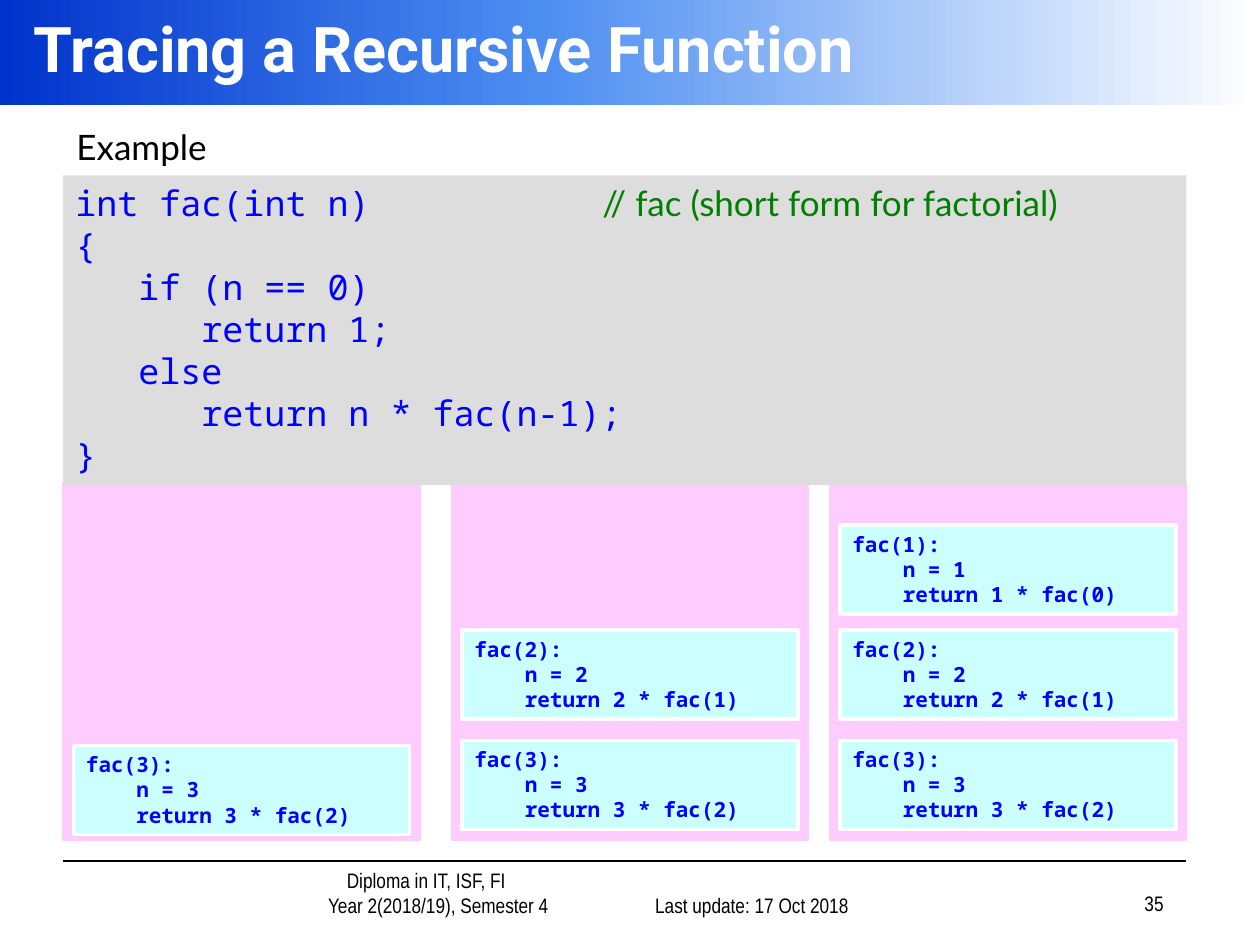
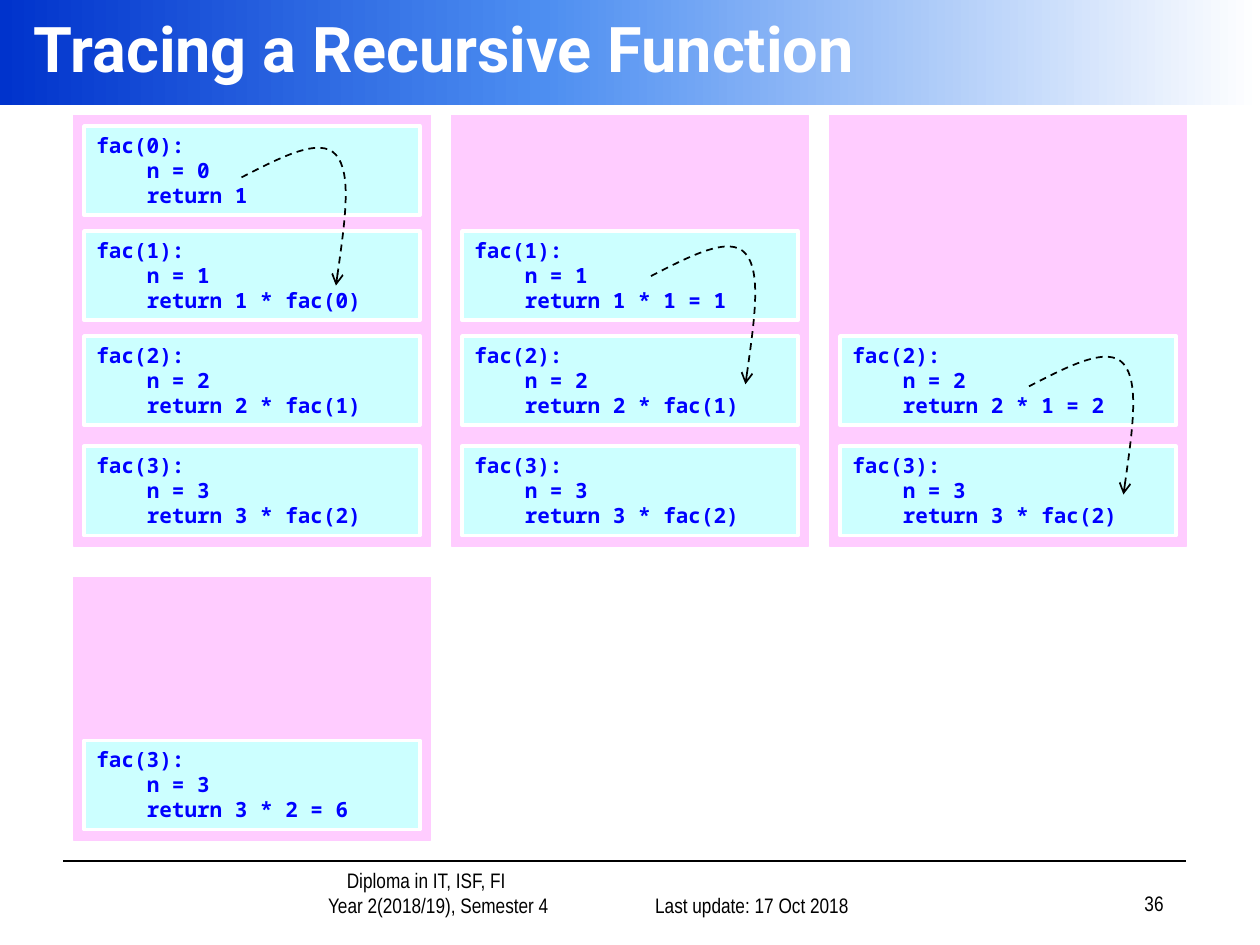
from dataclasses import dataclass

from lxml import etree
from copy import deepcopy
from pptx import Presentation
from pptx import util as u
from pptx.dml.color import RGBColor
from pptx.enum import dml, shapes, text
from pptx.oxml.ns import qn


@dataclass(frozen=True)
class Theme:
    black: str = "000000"
    white: str = "FFFFFF"
    panel: str = "FFCCFF"
    frame: str = "CCFFFF"
    code_back: str = "DDDDDD"
    code: str = "0000FF"
    comment: str = "008000"
    band: tuple = ((0, "0033CC"), (0.43, "4D8EF1"), (1, "FFFFFF"))
    title_font: str = "Roboto"
    body_font: str = "Lato"
    code_font: str = "Noto Sans Mono"
    footer_font: str = "Arial Narrow"
    title_size: int = 36
    body_size: int = 20
    small_size: int = 12


theme = Theme()
deck = Presentation()
deck.slide_width, deck.slide_height = u.Inches(10), u.Inches(7.5)

# Grid of 120 columns by 90 rows; every length below counts its cells
CELL = deck.slide_width // 120
PANEL_WIDTH = 34
FRAME_WIDTH, FRAME_HEIGHT = 32, 8.5
FRAME_LIFTS = {3: 9.5, 2: 20, 1: 30, 0: 40}  # frame top above panel bottom
ARROW_CURVE = [(3.7, -1.9), (7.5, -3.9), (9, -2.15),
               (10.55, -0.4), (9.75, 4.95), (9, 10.3)]


def add_box(page, left, top, width, height, fill=None, line=None, weight=1):
    """Add a rectangle, or a text box when no fill is given."""
    area = [round(n * CELL) for n in (left, top, width, height)]
    if fill is None:
        return page.shapes.add_textbox(*area)
    box = page.shapes.add_shape(shapes.MSO_SHAPE.RECTANGLE, *area)
    box.shadow.inherit = False
    box.fill.solid()
    box.fill.fore_color.rgb = RGBColor.from_string(fill)
    if line:
        box.line.color.rgb = RGBColor.from_string(line)
        box.line.width = u.Pt(weight)
    else:
        box.line.fill.background()
    return box


def write(box, lines, font, size, color, bold=False,
          align=text.PP_ALIGN.LEFT, anchor=text.MSO_ANCHOR.TOP):
    """Write (indent in cells, wording) pairs, one paragraph each."""
    frame = box.text_frame
    frame.word_wrap = True
    frame.vertical_anchor = anchor
    for index, (indent, wording) in enumerate(lines):
        para = frame.add_paragraph() if index else frame.paragraphs[0]
        para.add_run().text = wording
        para.alignment = align
        para.font.name, para.font.size, para.font.bold = font, u.Pt(size), bold
        para.font.color.rgb = RGBColor.from_string(color)
        if indent:
            para._p.get_or_add_pPr().set("marL", str(round(indent * CELL)))


# Each panel: left, top, bottom, innermost call, its result, drop, arrow start
pages = [
    (35, [
        (79, 46, 80, 1, "1 * fac(0)", 0, None),
        (43, 46, 80, 2, "2 * fac(1)", 0, None),
        (6, 46, 80, 3, "3 * fac(2)", 0.5, None),
    ]),
    (36, [
        (7, 55, 80, 3, "3 * 2 = 6", 0, None),
        (79, 11, 52, 2, "2 * 1 = 2", 0, (98, 36.8)),
        (43, 11, 52, 1, "1 * 1 = 1", 0, (62, 26.3)),
        (7, 11, 52, 0, "1", 0, (23, 16.9)),
    ]),
]

for number, panels in pages:
    page = deck.slides.add_slide(deck.slide_layouts[6])

    # Title band
    band = add_box(page, 0, 0, 120, 10, theme.white)
    band.fill.gradient()
    band.fill.gradient_angle = 0
    stop_list = band.element.spPr.find(qn("a:gradFill")).find(qn("a:gsLst"))
    stop_list.insert(1, deepcopy(stop_list[0]))
    for stop, (position, color) in zip(band.fill.gradient_stops, theme.band):
        stop.position = position
        stop.color.rgb = RGBColor.from_string(color)
    write(add_box(page, 2, 0, 118, 9), [(0, "Tracing a Recursive Function")],
          theme.title_font, theme.title_size, theme.white, True,
          anchor=text.MSO_ANCHOR.MIDDLE)

    # Footer
    rule = page.shapes.add_connector(shapes.MSO_CONNECTOR.STRAIGHT,
                                     6 * CELL, 82 * CELL, 113 * CELL, 82 * CELL)
    rule.line.color.rgb = RGBColor.from_string(theme.black)
    rule.line.width = u.Pt(1)
    etree.SubElement(rule.element.spPr, qn("a:effectLst"))
    course = [(6, "Diploma in IT, ISF, FI"), (8.3, "Year 2(2018/19), Semester 4")]
    for left, top, width, lines, align in [
        (20.2, 83, 34.8, course, text.PP_ALIGN.CENTER),
        (57, 83, 25, [(0, "Last update: 17 Oct 2018")], text.PP_ALIGN.RIGHT),
        (87, 82.8, 25, [(0, str(number))], text.PP_ALIGN.RIGHT),
    ]:
        write(add_box(page, left, top, width, 5), lines, theme.footer_font,
              theme.small_size, theme.black, align=align,
              anchor=text.MSO_ANCHOR.BOTTOM)

    # Call stacks
    for left, top, bottom, innermost, result, drop, arrow in panels:
        add_box(page, left, top, PANEL_WIDTH, bottom - top, theme.panel, theme.panel)
        for n in range(3, innermost - 1, -1):
            value = result if n == innermost else f"{n} * fac({n - 1})"
            frame = add_box(page, left + 1, bottom - FRAME_LIFTS[n] + drop,
                            FRAME_WIDTH, FRAME_HEIGHT, theme.frame, theme.white, 2)
            write(frame, [(0, f"fac({n}):"), (4.8, f"n = {n}"), (4.8, f"return {value}")],
                  theme.code_font, theme.small_size, theme.code, True)

        # Curved arrow handing the result to the caller
        if arrow:
            x, y = arrow
            builder = page.shapes.build_freeform(round(x * CELL), round(y * CELL))
            builder.add_line_segments(
                [(round((x + dx) * CELL), round((y + dy) * CELL)) for dx, dy in ARROW_CURVE],
                close=False)
            curve = builder.convert_to_shape()
            curve.shadow.inherit = False
            curve.fill.background()
            curve.line.color.rgb = RGBColor.from_string(theme.black)
            curve.line.width = u.Pt(1)
            curve.line.dash_style = dml.MSO_LINE.DASH
            etree.SubElement(curve.element.spPr.find(qn("a:ln")),
                             qn("a:tailEnd"), type="arrow")
            segments = list(curve.element.iter(qn("a:lnTo")))
            outline = segments[0].getparent()
            for start in range(0, len(segments), 3):
                bezier = etree.SubElement(outline, qn("a:cubicBezTo"))
                for segment in segments[start:start + 3]:
                    bezier.append(segment[0])
                    outline.remove(segment)

# Example code on the first page
page = deck.slides[0]
write(add_box(page, 6.1, 11.4, 34, 5.3), [(0, "Example")],
      theme.body_font, theme.body_size, theme.black)
listing = add_box(page, 6, 16.7, 107, 29.5, theme.code_back)
write(listing, [
    (0, "int fac(int n)"),
    (0, "{"),
    (6, "if (n == 0)"),
    (12, "return 1;"),
    (6, "else"),
    (12, "return n * fac(n-1);"),
    (0, "}"),
], theme.code_font, theme.body_size, theme.code)
para = listing.text_frame.paragraphs[0]
span = para.add_run()
span.text = "\t// fac (short form for factorial)"
span.font.name = theme.body_font
span.font.color.rgb = RGBColor.from_string(theme.comment)
tabs = etree.Element(qn("a:tabLst"))
etree.SubElement(tabs, qn("a:tab"), pos=str(round(50.2 * CELL)), algn="l")
para._p.pPr.find(qn("a:defRPr")).addprevious(tabs)

deck.save("out.pptx")
